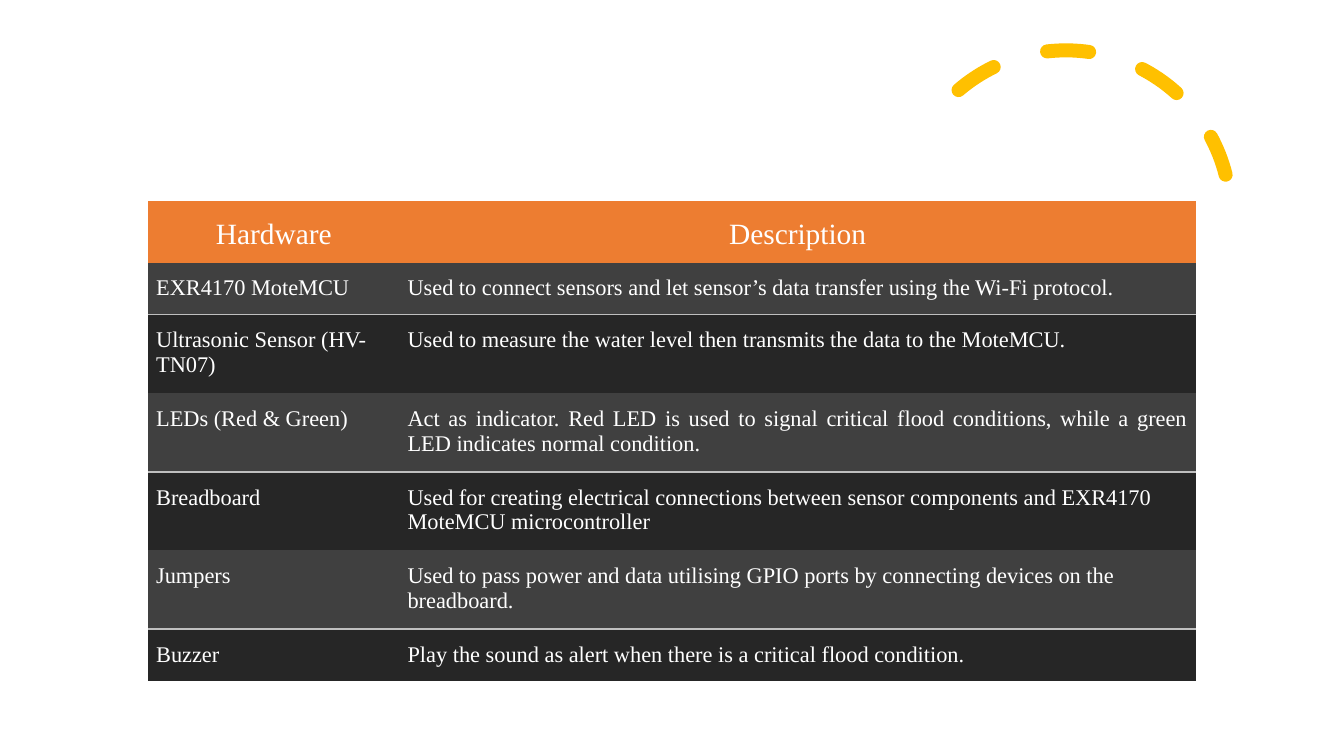
from lxml import etree
from pptx import Presentation
from pptx.dml.color import RGBColor
from pptx.enum.dml import MSO_LINE
from pptx.enum.shapes import MSO_SHAPE
from pptx.enum.text import MSO_ANCHOR, PP_ALIGN
from pptx.oxml.ns import qn
from pptx.util import Pt

ARC, DASH = MSO_SHAPE.ARC, MSO_LINE.DASH
TOP, MIDDLE = MSO_ANCHOR.TOP, MSO_ANCHOR.MIDDLE
LEFT, CENTER, JUSTIFY = PP_ALIGN.LEFT, PP_ALIGN.CENTER, PP_ALIGN.JUSTIFY

COLORS = {
    "header": "ED7D31",
    "light_row": "404040",
    "dark_row": "262626",
    "rule": "BFBFBF",
    "text": "FFFFFF",
    "arc": "FFC000",
}
CELL_FORMAT = {
    "margin_left": Pt(5.76),
    "margin_top": Pt(9.4),
    "margin_right": Pt(5.76),
    "margin_bottom": Pt(5.76),
}
FONT_FORMAT = {"name": "Times New Roman", "bold": False}
COLUMN_WIDTHS = (179.6, 568.8)
HEADER_HEIGHT = 43.92
HARDWARE = [
    ("EXR4170 MoteMCU",
     "Used to connect sensors and let sensor’s data transfer using the Wi-Fi protocol.",
     LEFT, 37.4),
    ("Ultrasonic Sensor (HV-TN07)",
     "Used to measure the water level then transmits the data to the MoteMCU.",
     JUSTIFY, 56.1),
    ("LEDs (Red & Green)",
     "Act as indicator. Red LED is used to signal critical flood conditions, "
     "while a green LED indicates normal condition.",
     JUSTIFY, 56.1),
    ("Breadboard",
     "Used for creating electrical connections between sensor components "
     "and EXR4170 MoteMCU microcontroller",
     LEFT, 56.1),
    ("Jumpers",
     "Used to pass power and data utilising GPIO ports by connecting devices "
     "on the breadboard.",
     LEFT, 56.1),
    ("Buzzer",
     "Play the sound as alert when there is a critical flood condition.",
     LEFT, 37.4),
]


def rgb(role):
    """Return the colour of a role."""
    return RGBColor.from_string(COLORS[role])


def set_format(target, values):
    """Set each attribute in values on target."""
    for name, value in values.items():
        setattr(target, name, value)


def rule_cell(cell, ruled_side):
    """Draw a rule on one side of a cell and clear the other sides."""
    properties = cell._tc.get_or_add_tcPr()
    for position, side in enumerate(("lnL", "lnR", "lnT", "lnB")):
        border = etree.Element(qn(f"a:{side}"), w=str(Pt(1)))
        if side == ruled_side:
            fill = etree.SubElement(border, qn("a:solidFill"))
            etree.SubElement(fill, qn("a:srgbClr"), val=COLORS["rule"])
        else:
            etree.SubElement(border, qn("a:noFill"))
        properties.insert(position, border)


def fill_cell(cell, wording, fill, size, align, anchor, ruled_side):
    """Write and format one table cell."""
    cell.text = wording
    set_format(cell, {**CELL_FORMAT, "vertical_anchor": anchor})
    cell.fill.solid()
    cell.fill.fore_color.rgb = rgb(fill)
    paragraph = cell.text_frame.paragraphs[0]
    paragraph.alignment = align
    font = paragraph.runs[0].font
    set_format(font, {**FONT_FORMAT, "size": Pt(size)})
    font.color.rgb = rgb("text")
    rule_cell(cell, ruled_side)


def add_dashed_arc(slide, left, top, side):
    """Draw the dashed arc in a square box."""
    arc = slide.shapes.add_shape(ARC, Pt(left), Pt(top), Pt(side), Pt(side))
    arc.shadow.inherit = False
    arc.adjustments[0] = 146.13
    arc.adjustments[1] = 0
    arc.rotation = 345.8
    arc.fill.background()
    arc.line.color.rgb = rgb("arc")
    set_format(arc.line, {"width": Pt(10), "dash_style": DASH})
    arc.line._get_or_add_ln().set("cap", "rnd")


def add_hardware_table(slide, left, top):
    """Build the hardware table from its top left corner."""
    heights = [HEADER_HEIGHT] + [height for *_, height in HARDWARE]
    table = slide.shapes.add_table(
        len(heights), len(COLUMN_WIDTHS), Pt(left), Pt(top),
        Pt(sum(COLUMN_WIDTHS)), Pt(sum(heights))).table
    set_format(table, {"first_row": False, "horz_banding": False})
    for column, width in zip(table.columns, COLUMN_WIDTHS):
        column.width = Pt(width)
    for row, height in zip(table.rows, heights):
        row.height = Pt(height)
    for column, heading in enumerate(("Hardware", "Description")):
        fill_cell(table.cell(0, column), heading, "header", 21, CENTER, MIDDLE, None)
    for row, (component, purpose, align, _) in enumerate(HARDWARE, 1):
        fill, ruled_side = ("light_row", "lnB") if row % 2 else ("dark_row", "lnT")
        fill_cell(table.cell(row, 0), component, fill, 16, LEFT, TOP, ruled_side)
        fill_cell(table.cell(row, 1), purpose, fill, 16, align, TOP, ruled_side)


def main():
    """Build and save the hardware slide."""
    deck = Presentation()
    set_format(deck, {"slide_width": Pt(960), "slide_height": Pt(540)})
    slide = deck.slides.add_slide(deck.slide_layouts[6])
    add_dashed_arc(slide, 643.7, 36, 235.4)
    add_hardware_table(slide, 105.8, 143.6)
    deck.save("out.pptx")


if __name__ == "__main__":
    main()
